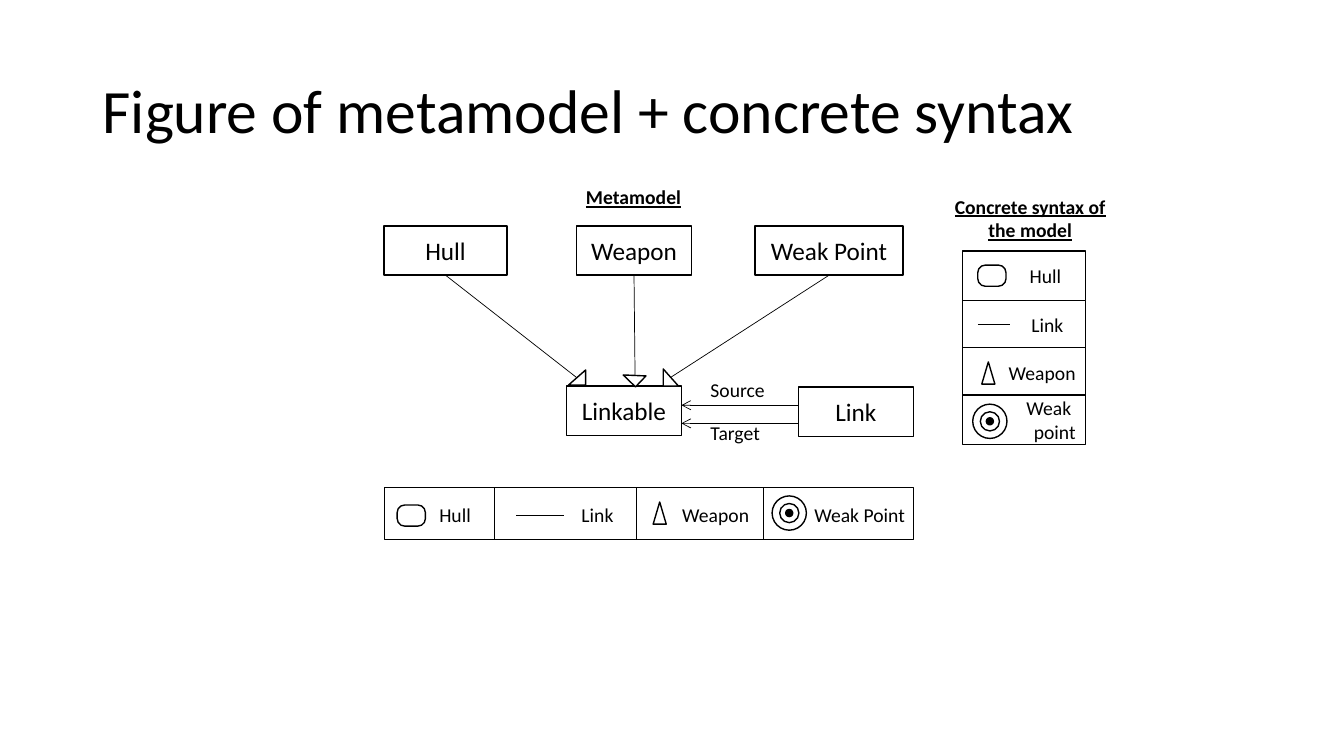
import pptx
import pptx.util
import pptx.dml.color
import pptx.enum.shapes
import pptx.enum.text
import pptx.oxml.ns
import pptx.oxml.xmlchemy

CELL = 0.1
COLUMNS, ROWS = 133.33, 75
BLACK, WHITE = "000000", "FFFFFF"
SHAPES = pptx.enum.shapes.MSO_SHAPE
ALIGN = pptx.enum.text.PP_ALIGN
MIDDLE = pptx.enum.text.MSO_ANCHOR.MIDDLE


def grid(*cells):
    """Turn grid columns or rows into lengths."""
    return [pptx.util.Inches(cell * CELL) for cell in cells]


def color(hex_string):
    """Turn a hex string into a colour."""
    return pptx.dml.color.RGBColor.from_string(hex_string)


def write(shape, text, size=14, align=ALIGN.LEFT, heading=False, spacing=None):
    """Fill a shape's text frame, one paragraph per line."""
    frame = shape.text_frame
    frame.word_wrap = True
    for index, line in enumerate(text.split("\n")):
        paragraph = frame.paragraphs[0] if index == 0 else frame.add_paragraph()
        paragraph.alignment = align
        paragraph.line_spacing = spacing
        run = paragraph.add_run()
        run.text = line
        run.font.name = "Calibri"
        run.font.size = pptx.util.Pt(size)
        run.font.color.rgb = color(BLACK)
        if heading:
            run.font.bold = run.font.underline = True


def add_text(slide, text, left, top, width, height, **text_format):
    """Add a text box."""
    box = slide.shapes.add_textbox(*grid(left, top, width, height))
    write(box, text, **text_format)
    return box


def add_outline(slide, kind, left, top, width, height, fill=WHITE, weight=1, rotation=0):
    """Add a black-outlined preset shape."""
    shape = slide.shapes.add_shape(kind, *grid(left, top, width, height))
    shape.shadow.inherit = False
    if fill:
        shape.fill.solid()
        shape.fill.fore_color.rgb = color(fill)
    else:
        shape.fill.background()
    shape.line.color.rgb = color(BLACK)
    shape.line.width = pptx.util.Pt(weight)
    shape.rotation = rotation
    return shape


def add_box(slide, text, left, top, width, size=18, align=ALIGN.CENTER, indent=1):
    """Add a labelled rectangle, 4.9 rows high."""
    box = add_outline(slide, SHAPES.RECTANGLE, left, top, width, 4.9)
    box.text_frame.vertical_anchor = MIDDLE
    box.text_frame.margin_left = grid(indent)[0]
    write(box, text, size=size, align=align)
    return box


def add_line(slide, start, end, tail=None, source=None):
    """Add a thin line, optionally with an arrowhead or leaving a box's bottom."""
    kind = pptx.enum.shapes.MSO_CONNECTOR.STRAIGHT
    line = slide.shapes.add_connector(kind, *grid(*start, *end))
    line.line.color.rgb = color(BLACK)
    line.line.width = pptx.util.Pt(0.5)
    properties = line._element.find(pptx.oxml.ns.qn("p:spPr"))
    if tail:
        arrowhead = pptx.oxml.xmlchemy.OxmlElement("a:tailEnd")
        arrowhead.set("type", tail)
        properties.find(pptx.oxml.ns.qn("a:ln")).append(arrowhead)
    properties.append(pptx.oxml.xmlchemy.OxmlElement("a:effectLst"))
    if source is not None:
        line.begin_connect(source, 2)


def add_hull_symbol(slide, left, top):
    """Add the rounded rectangle that stands for a hull."""
    symbol = add_outline(slide, SHAPES.ROUNDED_RECTANGLE, left, top, 2.8, 2.1)
    symbol.adjustments[0] = 0.355


def add_weapon_symbol(slide, left, top):
    """Add the triangle that stands for a weapon."""
    add_outline(slide, SHAPES.ISOSCELES_TRIANGLE, left, top, 1.3, 2.2)


def add_weak_point_symbol(slide, left, top):
    """Add the bullseye that stands for a weak point."""
    for inset, diameter, fill in ((0, 3.4, WHITE), (0.75, 1.9, WHITE), (1.35, 0.7, BLACK)):
        add_outline(slide, SHAPES.OVAL, left + inset, top + inset, diameter, diameter, fill=fill)


def add_metamodel(slide):
    """Draw the classes, their inheritance and the links between them."""
    add_text(slide, "Metamodel", 50.2, 17.9, 25.3, 3.4, align=ALIGN.CENTER, heading=True)
    add_box(slide, "Link", 79.2, 38.4, 11.4)
    add_box(slide, "Linkable", 56.2, 38.3, 11.4)
    classes = (
        ("Hull", 38.1, 12.2, (57.9, 38), "triangle", 56.5, 36.6, 270),
        ("Weapon", 57.2, 11.4, (63, 37.3), None, 62.2, 36.4, 313.9),
        ("Weak Point", 74.9, 14.7, (66.6, 37.4), None, 65.8, 36.6, 359.8),
    )
    for name, left, width, end, tail, head_left, head_top, rotation in classes:
        box = add_box(slide, name, left, 22.4, width)
        add_line(slide, (left + width / 2, 27.3), end, tail=tail, source=box)
        add_outline(slide, SHAPES.RIGHT_TRIANGLE, head_left, head_top, 1.5, 1.7, rotation=rotation)
    for name, label_top, line_top in (("Source", 37, 40.2), ("Target", 41.3, 42)):
        add_line(slide, (79.2, line_top), (67.6, line_top), tail="arrow")
        add_text(slide, name, 69.5, label_top, 7.8, 3.4)


def add_row_legend(slide):
    """Draw the legend below the metamodel."""
    add_outline(slide, SHAPES.RECTANGLE, 38.1, 48.4, 52.5, 5.1, fill=None, weight=0.75)
    for divider in (49, 63.1, 75.7):
        add_line(slide, (divider, 48.4), (divider, 53.5))
    labels = (("Hull", 42.6, 6.6), ("Link", 56.7, 7.5), ("Weapon", 66.7, 9), ("Weak Point", 79.8, 11.5))
    for name, left, width in labels:
        add_text(slide, name, left, 49.4, width, 3.4)
    add_hull_symbol(slide, 39.4, 50.1)
    add_line(slide, (51.2, 51.1), (56, 51.1))
    add_weapon_symbol(slide, 64.8, 49.8)
    add_weak_point_symbol(slide, 76.6, 49.2)


def add_column_legend(slide):
    """Draw the concrete syntax column on the right."""
    add_text(slide, "Concrete syntax of the model", 93.3, 18.8, 17.8, 5.7,
             align=ALIGN.CENTER, heading=True)
    rows = (
        ("Hull", 24.9, ALIGN.CENTER, 5.2),
        ("Link", 29.8, ALIGN.CENTER, 5.6),
        ("Weapon", 34.5, ALIGN.RIGHT, 1),
        ("Weak \npoint", 39.2, ALIGN.RIGHT, 1),
    )
    for name, top, align, indent in rows:
        add_box(slide, name, 95.5, top, 12.2, size=14, align=align, indent=indent)
    add_hull_symbol(slide, 97, 26.3)
    add_line(slide, (97, 32.2), (100.2, 32.2))
    add_weapon_symbol(slide, 97.4, 35.9)
    add_weak_point_symbol(slide, 96.5, 40.1)


def main():
    """Build and save the slide."""
    presentation = pptx.Presentation()
    presentation.slide_width, presentation.slide_height = grid(COLUMNS, ROWS)
    slide = presentation.slides.add_slide(presentation.slide_layouts[6])
    title = add_text(slide, "Figure of metamodel + concrete syntax", 9.2, 4, 115, 14.5,
                     size=44, spacing=0.9)
    title.text_frame.vertical_anchor = MIDDLE
    add_metamodel(slide)
    add_row_legend(slide)
    add_column_legend(slide)
    presentation.save("out.pptx")


if __name__ == "__main__":
    main()
